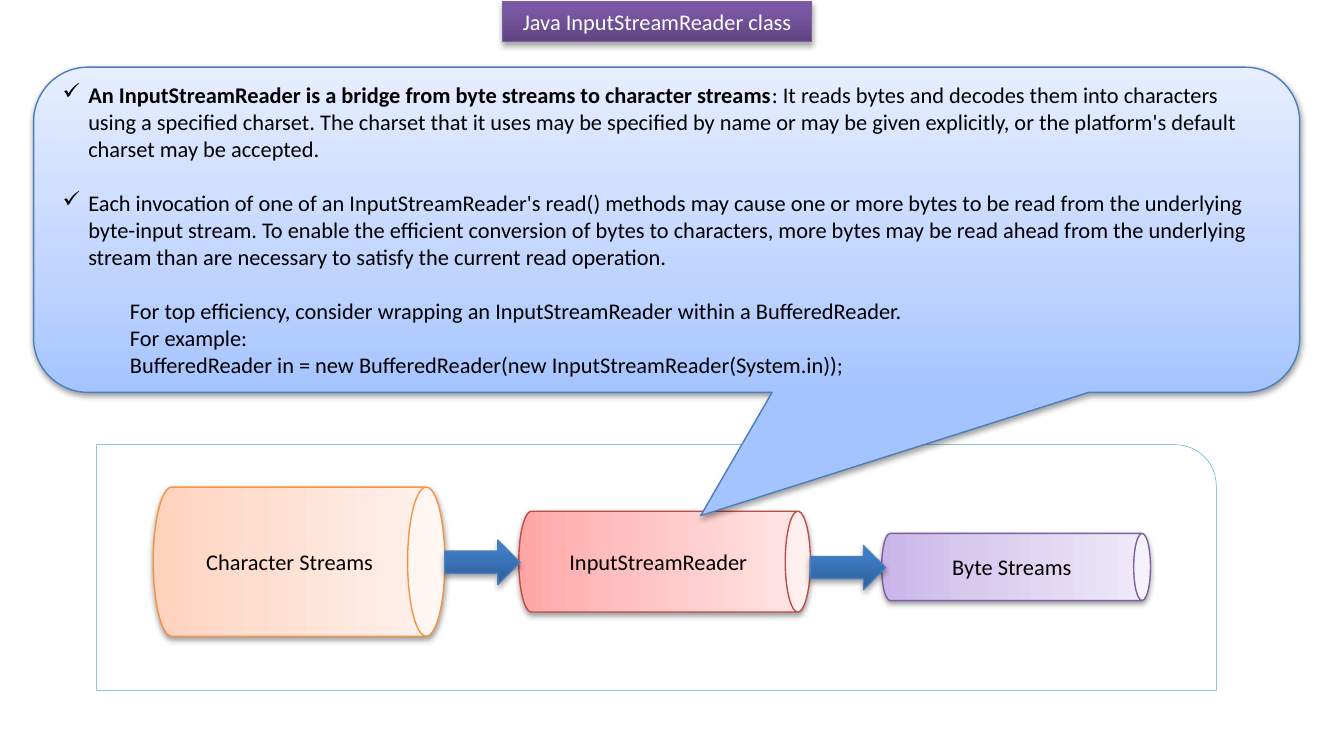
from dataclasses import dataclass

from lxml import etree
from pptx import Presentation
from pptx import util as u
from pptx.dml.color import RGBColor
from pptx.enum import shapes, text
from pptx.oxml.ns import qn


@dataclass(frozen=True)
class Theme:
    """Colours, gradients and type of the slide."""
    font: str = "Calibri"
    size: float = 12
    ink: str = "000000"
    light: str = "FFFFFF"
    panel_line: str = "4BACC6"
    purple_line: str = "7D60A0"
    blue_line: str = "4B7EBC"
    red_line: str = "BF4C48"
    orange_line: str = "F69240"
    deep_purple: tuple = ((0, "5F4480"), (80, "7B58A6"), (100, "7C57A8"))
    deep_blue: tuple = ((0, "2F5F99"), (80, "3D7CC7"), (100, "3A7CCB"))
    pale_blue: tuple = ((0, "A4C4FF"), (35, "BFD4FF"), (100, "E6EEFF"))
    pale_red: tuple = ((0, "FFA6A5"), (35, "FFC0BF"), (100, "FFE7E7"))
    pale_purple: tuple = ((0, "C9B5E8"), (35, "D8CBEE"), (100, "F0EAF9"))
    pale_orange: tuple = ((0, "FFD2BD"), (35, "FFDED0"), (100, "FFF2ED"))


THEME = Theme()
PRESET = shapes.MSO_SHAPE
BRIDGE = (
    ("An InputStreamReader is a bridge from byte streams to character streams", True),
    (": It reads bytes and decodes them into characters using a specified charset. "
     "The charset that it uses may be specified by name or may be given explicitly, "
     "or the platform's default charset may be accepted.", False),
)
INVOCATION = ((
    "Each invocation of one of an InputStreamReader's read() methods may cause one or "
    "more bytes to be read from the underlying byte-input stream. To enable the efficient "
    "conversion of bytes to characters, more bytes may be read ahead from the underlying "
    "stream than are necessary to satisfy the current read operation.", False),)
EXAMPLE = (
    "For top efficiency, consider wrapping an InputStreamReader within a BufferedReader.",
    "For example:",
    "BufferedReader in = new BufferedReader(new InputStreamReader(System.in));",
)


def place(shape, left, top, width, height):
    """Set a shape's box in inches."""
    shape.left, shape.top = u.Inches(left), u.Inches(top)
    shape.width, shape.height = u.Inches(width), u.Inches(height)


def outline(shape, color, width=0.75):
    """Give a shape a solid outline."""
    shape.line.color.rgb = RGBColor.from_string(color)
    shape.line.width = u.Pt(width)


def add_shadow(shape, opacity, distance):
    """Cast a soft shadow straight down."""
    props = shape._element.spPr
    effects = props.find(qn("a:effectLst"))
    if effects is None:
        effects = etree.SubElement(props, qn("a:effectLst"))
    shadow = etree.SubElement(
        effects, qn("a:outerShdw"), blurRad=str(u.Pt(3.1)), dist=str(u.Pt(distance)),
        dir="5400000", rotWithShape="0")
    black = etree.SubElement(shadow, qn("a:srgbClr"), val="000000")
    etree.SubElement(black, qn("a:alpha"), val=str(opacity * 1000))


def decorate(shape, stops, line, opacity=38, distance=1.6):
    """Apply an upward gradient, an outline and a shadow."""
    shape.fill.gradient()
    shape.fill.gradient_angle = 90
    stop_list = shape._element.spPr.find(qn("a:gradFill")).find(qn("a:gsLst"))
    for stop in list(stop_list):
        stop_list.remove(stop)
    for position, color in stops:
        stop = etree.SubElement(stop_list, qn("a:gs"), pos=str(position * 1000))
        etree.SubElement(stop, qn("a:srgbClr"), val=color)
    outline(shape, line)
    shape.shadow.inherit = False
    add_shadow(shape, opacity, distance)


def style_text(paragraph, color=THEME.ink, align=text.PP_ALIGN.CENTER):
    """Set a paragraph's alignment and font."""
    paragraph.alignment = align
    paragraph.font.name = THEME.font
    paragraph.font.size = u.Pt(THEME.size)
    paragraph.font.color.rgb = RGBColor.from_string(color)


def add_title(slide):
    """Turn the title placeholder into the purple banner."""
    title = slide.shapes.title
    place(title, 3.74, 0.01, 2.3, 0.3)
    decorate(title, THEME.deep_purple, THEME.purple_line, 35, 1.8)
    frame = title.text_frame
    frame.text = "Java InputStreamReader class"
    frame.auto_size = text.MSO_AUTO_SIZE.NONE
    frame.vertical_anchor = text.MSO_ANCHOR.MIDDLE
    style_text(frame.paragraphs[0], THEME.light)


def add_preset(slide, preset, left, top, width, height):
    """Add a preset shape measured in inches."""
    return slide.shapes.add_shape(preset, *map(u.Inches, (left, top, width, height)))


def add_panel(slide):
    """Add the frame around the stream diagram."""
    panel = add_preset(slide, PRESET.ROUND_1_RECTANGLE, 0.72, 3.31, 8.33, 1.83)
    panel.shadow.inherit = False
    panel.fill.solid()
    panel.fill.fore_color.rgb = RGBColor.from_string(THEME.light)
    outline(panel, THEME.panel_line, 0.25)


def add_stream(slide, label, left, middle, length, diameter, stops, line):
    """Add a lying cylinder with a level label."""
    stream = add_preset(slide, PRESET.CAN, left + (length - diameter) / 2,
                        middle - length / 2, diameter, length)
    stream.rotation = 90
    decorate(stream, stops, line)
    frame = stream.text_frame
    frame.text = label
    frame.vertical_anchor = text.MSO_ANCHOR.MIDDLE
    frame._txBody.bodyPr.set("vert", "vert270")
    style_text(frame.paragraphs[0])


def add_flow(slide, left, top):
    """Add a block arrow between two streams."""
    flow = add_preset(slide, PRESET.RIGHT_ARROW, left, top, 0.56, 0.33)
    decorate(flow, THEME.deep_blue, THEME.blue_line, 35, 1.8)


def add_note(frame, runs, margin, check=False, gap=0.0):
    """Fill the next paragraph of the callout."""
    first = frame.paragraphs[0]
    note = frame.add_paragraph() if first.runs else first
    props = note._p.get_or_add_pPr()
    props.set("marL", str(u.Inches(margin)))
    if check:
        props.set("indent", str(-u.Inches(margin)))
        etree.SubElement(props, qn("a:buChar"), char="✓")
    for wording, bold in runs:
        run = note.add_run()
        run.text = wording
        if bold:
            run.font.bold = True
    note.space_before = u.Pt(gap)
    style_text(note, align=text.PP_ALIGN.LEFT)


def add_callout(slide):
    """Add the explanation that points at the reader."""
    callout = add_preset(slide, PRESET.ROUNDED_RECTANGULAR_CALLOUT, 0.25, 0.5, 9.42, 2.42)
    for index, value in enumerate((0.027, 0.879, 0.167)):
        callout.adjustments[index] = value
    decorate(callout, THEME.pale_blue, THEME.blue_line)
    frame = callout.text_frame
    frame.word_wrap = True
    frame.vertical_anchor = text.MSO_ANCHOR.MIDDLE
    blank_line = 14.6
    add_note(frame, BRIDGE, 0.19, check=True)
    add_note(frame, INVOCATION, 0.19, check=True, gap=blank_line)
    for index, wording in enumerate(EXAMPLE):
        add_note(frame, ((wording, False),), 0.5, gap=0 if index else blank_line)


def main():
    """Build and save the slide."""
    deck = Presentation()
    deck.slide_width, deck.slide_height = u.Inches(10), u.Inches(5.5)
    slide = deck.slides.add_slide(deck.slide_layouts[5])
    add_title(slide)
    add_panel(slide)
    for stream in (
        ("InputStreamReader", 3.86, 4.18, 2.17, 0.75, THEME.pale_red, THEME.red_line),
        ("Byte Streams", 6.56, 4.22, 2, 0.5, THEME.pale_purple, THEME.purple_line),
        ("Character Streams", 1.14, 4.18, 2.17, 1.11, THEME.pale_orange, THEME.orange_line),
    ):
        add_stream(slide, *stream)
    add_flow(slide, 3.31, 4.02)
    add_flow(slide, 6.03, 4.06)
    add_callout(slide)
    deck.save("out.pptx")


if __name__ == "__main__":
    main()
